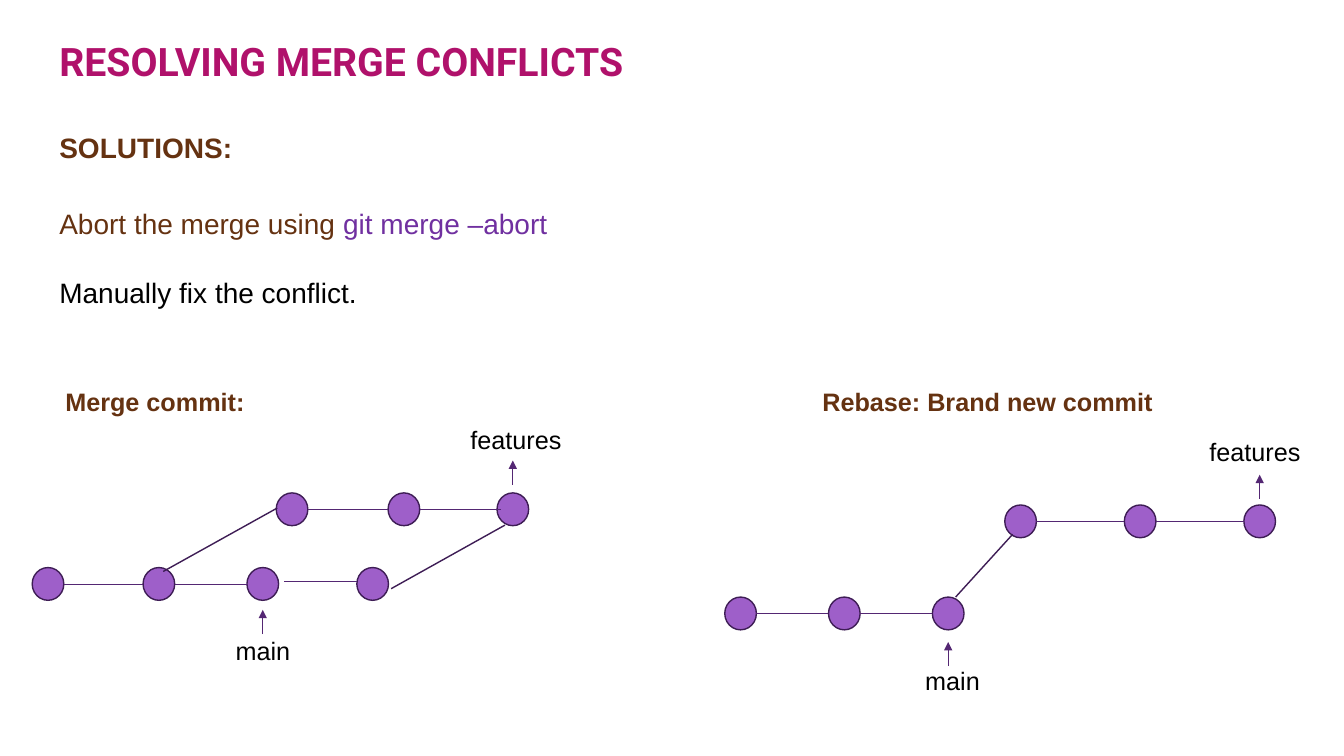
from dataclasses import dataclass

from lxml.etree import SubElement
from pptx import Presentation
from pptx.dml.color import RGBColor
from pptx.enum.shapes import MSO_CONNECTOR, MSO_SHAPE
from pptx.enum.text import MSO_ANCHOR, MSO_AUTO_SIZE, PP_ALIGN
from pptx.oxml.ns import qn
from pptx.util import Pt


@dataclass(frozen=True)
class Theme:
    magenta: RGBColor = RGBColor.from_string("B0116B")
    brown: RGBColor = RGBColor.from_string("653211")
    violet: RGBColor = RGBColor.from_string("7030A0")
    black: RGBColor = RGBColor.from_string("000000")
    commit_fill: RGBColor = RGBColor.from_string("9E5FC9")
    commit_line: RGBColor = RGBColor.from_string("3E1D55")
    link_line: RGBColor = RGBColor.from_string("542773")
    title_size: Pt = Pt(28)
    body_size: Pt = Pt(20)
    label_size: Pt = Pt(18)
    title_font: str = "Roboto"
    body_font: str = "Arial"


theme = Theme()
presentation = Presentation()
presentation.slide_width, presentation.slide_height = Pt(960), Pt(540)
slide = presentation.slides.add_slide(presentation.slide_layouts[5])


def write_text(shape, paragraphs, font_format):
    """Fill a shape with (space before, [(text, colour, bold), ...]) paragraphs."""
    frame = shape.text_frame
    frame.word_wrap = True
    frame.vertical_anchor = MSO_ANCHOR.TOP
    for index, (space_before, runs) in enumerate(paragraphs):
        paragraph = frame.add_paragraph() if index else frame.paragraphs[0]
        paragraph.alignment = PP_ALIGN.LEFT
        paragraph.space_before = Pt(space_before)
        for text, color, bold in runs:
            run = paragraph.add_run()
            run.text = text
            run.font.color.rgb = color
            for name, value in {**font_format, "bold": bold}.items():
                setattr(run.font, name, value)


def add_line(start, end, color=theme.link_line, width=0.5, arrow=False):
    line = slide.shapes.add_connector(
        MSO_CONNECTOR.STRAIGHT, *map(Pt, (*start, *end))
    )
    line.line.color.rgb = color
    line.line.width = Pt(width)
    properties = line._element.spPr
    if arrow:
        SubElement(properties.find(qn("a:ln")), qn("a:tailEnd"), type="triangle")
    SubElement(properties, qn("a:effectLst"))


# Title
title = slide.shapes.title
title_place = {"left": 35.3, "top": 26.6, "width": 455.8, "height": 57.6}
for name, value in title_place.items():
    setattr(title, name, Pt(value))
write_text(
    title,
    [(0, [("RESOLVING MERGE CONFLICTS", theme.magenta, True)])],
    {"name": theme.title_font, "size": theme.title_size},
)
title.text_frame.auto_size = MSO_AUTO_SIZE.NONE
title.text_frame.paragraphs[0].line_spacing = 0.9

# Solutions
solutions = slide.shapes.add_textbox(Pt(35.3), Pt(90), Pt(455.8), Pt(138.2))
write_text(
    solutions,
    [
        (0, [("SOLUTIONS:", theme.brown, True)]),
        (30, [
            ("Abort the merge using ", theme.brown, False),
            ("git merge –abort", theme.violet, False),
        ]),
        (25, [("Manually fix the conflict.", theme.black, False)]),
    ],
    {"name": theme.body_font, "size": theme.body_size},
)

# Diagram headings and branch names
for text, left, top, width, color, bold in [
    ("Merge commit:", 39.6, 272.2, 406, theme.brown, True),
    ("Rebase: Brand new commit", 580.3, 272.2, 406, theme.brown, True),
    ("features", 329, 299.5, 86.4, theme.black, False),
    ("main", 161.3, 450, 86.4, theme.black, False),
    ("features", 856.8, 308.2, 86.4, theme.black, False),
    ("main", 653.8, 471.6, 86.4, theme.black, False),
]:
    label = slide.shapes.add_textbox(Pt(left), Pt(top), Pt(width), Pt(28.8))
    write_text(
        label,
        [(0, [(text, color, bold)])],
        {"name": theme.body_font, "size": theme.label_size},
    )

# Rows of commits, each commit linked to the next in its row
commit_width, commit_height = 22.6, 23.4
for top, lefts in [
    (405.4, [23, 102.2, 176.4]),
    (405.4, [254.9]),
    (352.1, [197.3, 277.2]),
    (352.1, [355]),
    (426.5, [517.7, 591.8, 666]),
    (360.7, [717.7, 803.1, 888.5]),
]:
    for left in lefts:
        commit = slide.shapes.add_shape(
            MSO_SHAPE.FLOWCHART_CONNECTOR,
            Pt(left), Pt(top), Pt(commit_width), Pt(commit_height),
        )
        commit.shadow.inherit = False
        commit.fill.solid()
        commit.fill.fore_color.rgb = theme.commit_fill
        commit.line.color.rgb = theme.commit_line
        commit.line.width = Pt(1)
    middle = top + commit_height / 2
    for left, next_left in zip(lefts, lefts[1:]):
        add_line((left + commit_width, middle), (next_left, middle))

# Links into the separate merge commits
add_line((203, 415.4), (254.9, 415.4))
add_line((300.2, 363.8), (357.8, 363.8))

# Branching and merging lines
for start, end in [
    ((116.6, 408.2), (198, 362.9)),
    ((279.4, 420.5), (360.7, 375.1)),
    ((682.6, 426.5), (723.4, 381.6)),
]:
    add_line(start, end, theme.commit_line, 1)

# Arrows between commits and branch names
for center, bottom in [(187.7, 452.9), (366.3, 346.3), (677.3, 475.9), (899.8, 356.4)]:
    add_line((center, bottom), (center, bottom - 17.3), arrow=True)

presentation.save("out.pptx")
